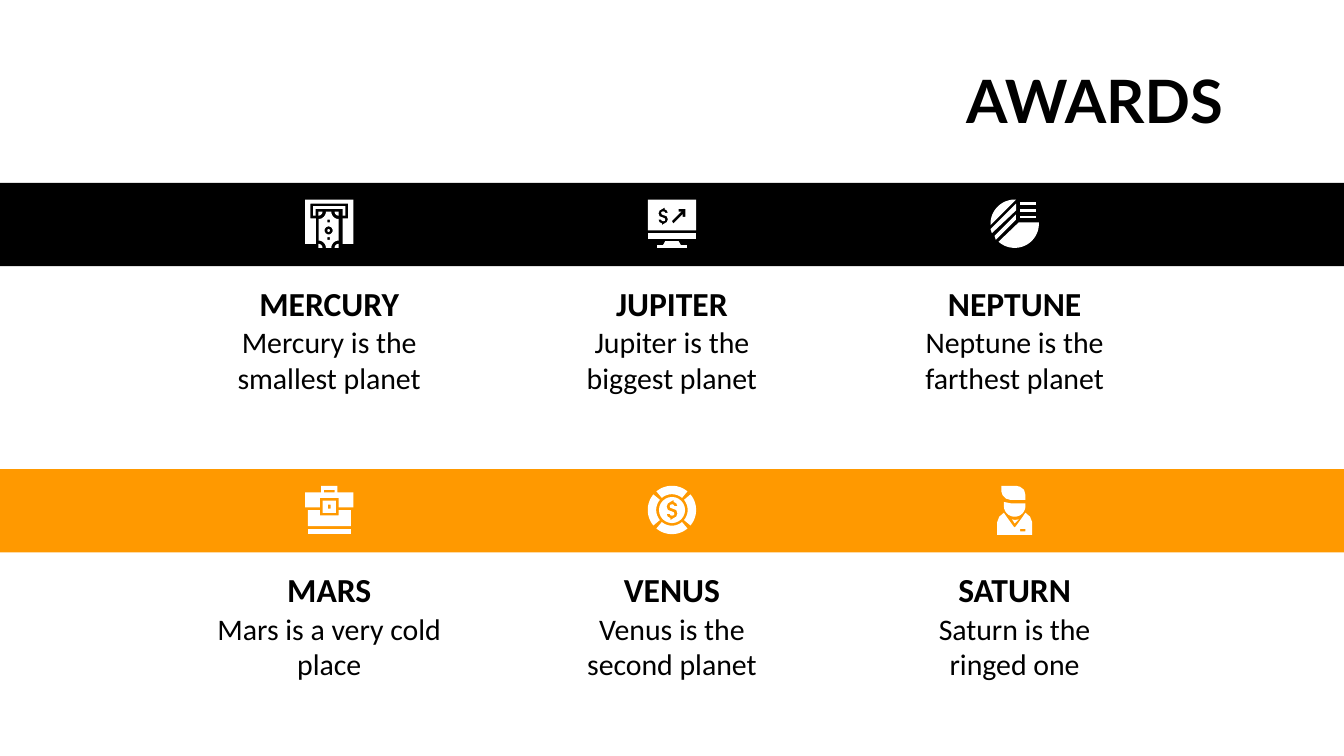
from math import cos, radians, sin

from pptx import Presentation
from pptx.dml.color import RGBColor
from pptx.enum.shapes import MSO_SHAPE
from pptx.enum.text import MSO_ANCHOR, PP_ALIGN
from pptx.util import Inches, Pt

RECT = MSO_SHAPE.RECTANGLE
TOP = MSO_ANCHOR.TOP
RIGHT, CENTER = PP_ALIGN.RIGHT, PP_ALIGN.CENTER

WIDTH = Inches(10)
HEIGHT = WIDTH * 9 // 16
UNIT = WIDTH / 100
COLORS = {"ink": "000000", "accent": "FF9900", "icon": "FFFFFF"}
TITLE = {"name": "Lato", "size": Pt(32), "bold": True}
HEAD = {"name": "Calibri", "size": Pt(18), "bold": True}
BODY = {"name": "Calibri", "size": Pt(16), "bold": False}


def block(x, y, w, h):
    """Return the corners of a rectangle."""
    return [(x, y), (x + w, y), (x + w, y + h), (x, y + h)]


def arc(x, y, r, start=0, end=360, steps=24):
    """Return points along a circle, by angle in degrees."""
    turns = [radians(start + (end - start) * i / steps) for i in range(steps + 1)]
    return [(x + r * cos(t), y + r * sin(t)) for t in turns]


def dollar(x, y, scale):
    """Return a dollar sign, its lower half being the upper half turned."""
    half = [(4.5, 0), (4.5, 1.2), (6.3, 2.2), (7, 4), (5, 4), (4.5, 3.1),
            (3.5, 2.8), (2.3, 3.2), (2, 4), (2.4, 5), (3.5, 5.5), (6.2, 6.5),
            (7, 8.7), (6.2, 10.8), (4.5, 11.8)]
    whole = half + [(7 - a, 13 - b) for a, b in half]
    return [(x + a * scale, y + b * scale) for a, b in whole]


def cash():
    """Return the parts of a cash machine."""
    ends = [(10, 9, 0), (25, 9, 90), (25, 36, 180), (10, 36, 270)]
    note = [p for x, y, a in ends for p in arc(x, y, 5.5, a + 90, a, 8)]
    return [
        [[(6, 5), (6, 12), (8, 12), (8, 7), (28, 7), (28, 12), (30, 12), (30, 5)]],
        [[(0, 0), (0, 33), (8, 33), (8, 14), (4, 14), (4, 3), (32, 3),
          (32, 14), (28, 14), (28, 33), (36, 33), (36, 0)]],
        [note, block(16.5, 15, 2, 2), arc(17.5, 23, 3), block(16.5, 28, 2, 2)],
        [arc(17.5, 23, 1)],
    ] + [[[(x, y)] + arc(x, y, 3, a, a + 90, 8)] for x, y, a in ends]


def screen():
    """Return the parts of a monitor."""
    arrow = [(28, 7), (28, 13), (26, 13), (26, 11), (19, 18), (18, 16),
             (25, 9), (23, 9), (23, 7)]
    return [
        [block(0, 0, 36, 23), arrow, dollar(8, 6, 1)],
        [block(0, 25, 36, 4)],
        [[(13, 31), (11, 34.5), (25, 34.5), (23, 31)]],
        [block(7, 34, 22, 2)],
    ]


def pie():
    """Return the parts of a striped pie chart."""
    return [
        [arc(18, 18, 18, 270, 180) + [(0, 19), (19, 0)]],
        [[(19, 3), (0, 22), (1, 25), (19, 8)]],
        [[(19, 11), (3, 27), (4, 30), (19, 15)]],
        [[(21, 17)] + arc(18, 18, 18, 132, -3)],
    ] + [[block(22, y, 12, 2)] for y in (2, 7, 12)]


def case():
    """Return the parts of a briefcase."""
    lid = [(12, 0), (12, 5), (0, 5), (0, 16), (11, 16), (11, 9), (25, 9),
           (25, 16), (36, 16), (36, 5), (24, 5), (24, 0)]
    return [
        [lid, block(14, 3, 8, 2)],
        [[(2, 18), (2, 30), (34, 30), (34, 18), (25, 18), (25, 22),
          (11, 22), (11, 18)]],
        [block(2, 32, 32, 4)],
        [block(13, 11, 10, 9), block(17, 14, 2, 3)],
    ]


def coin():
    """Return the parts of a coin in a split ring."""
    ring = [arc(18, 18, 18, a - 40, a + 40) + arc(18, 18, 11.7, a + 40, a - 40)
            for a in (0, 90, 180, 270)]
    return [[arc(18, 18, 9.7), dollar(14, 10.5, 1.15)], ring]


def person():
    """Return the parts of a person in a suit."""
    coat = [(10, 20), (6.5, 23), (5, 27), (5, 36.5), (31, 36.5), (31, 27),
            (29.5, 23), (26, 20), (24, 23), (19, 30), (18, 31), (17, 30), (12, 23)]
    return [
        [[(10, 12), (10, 15)] + arc(18, 15, 8, 180, 0) + [(26, 13), (15, 13)]],
        [[(8, 0), (8, 4), (9, 7), (11.5, 9.5), (15, 10.5), (26, 10.5),
          (26, 7), (25, 3), (22, 0.7), (19, 0)]],
        [[(16, 25), (18, 28), (21, 25), (18, 25.5)]],
        [coat, block(22, 32, 4, 2)],
    ]


ROWS = [
    (13.6, "ink", [("MERCURY", "Mercury is the smallest planet", cash),
                   ("JUPITER", "Jupiter is the biggest planet", screen),
                   ("NEPTUNE", "Neptune is the farthest planet", pie)]),
    (34.9, "accent", [("MARS", "Mars is a very cold place", case),
                      ("VENUS", "Venus is the second planet", coin),
                      ("SATURN", "Saturn is the ringed one", person)]),
]


def span(*sizes):
    """Turn grid units into slide lengths."""
    return [round(n * UNIT) for n in sizes]


def paint(shape, color):
    """Give a shape a plain fill."""
    shape.shadow.inherit = False
    shape.fill.solid()
    shape.fill.fore_color.rgb = RGBColor.from_string(COLORS[color])
    shape.line.fill.background()


def write(shape, text, style, align):
    """Fill a shape with one styled paragraph."""
    frame = shape.text_frame
    edge = Inches(0.1)
    form = {"word_wrap": True, "vertical_anchor": TOP, "margin_left": edge,
            "margin_right": edge, "margin_top": edge, "margin_bottom": edge}
    for key, value in form.items():
        setattr(frame, key, value)
    frame.text = text
    line = frame.paragraphs[0]
    line.alignment = align
    font = line.runs[0].font
    for key, value in style.items():
        setattr(font, key, value)
    font.color.rgb = RGBColor.from_string(COLORS["ink"])
    return line


def draw_title(slide, box):
    """Place the slide title in its box."""
    title = slide.shapes.title
    title.left, title.top, title.width, title.height = span(*box)
    write(title, "AWARDS", TITLE, RIGHT).line_spacing = 0.8


def draw_icon(slide, left, top, parts):
    """Draw the parts of an icon, each an outline with its holes."""
    group = slide.shapes.add_group_shape()
    for part in parts:
        loops = [[span(left + x / 10, top + y / 10) for x, y in loop] for loop in part]
        pen = group.shapes.build_freeform(*loops[0][0])
        pen.add_line_segments(loops[0][1:])
        for hole in loops[1:]:
            pen.move_to(*hole[0])
            pen.add_line_segments(hole[1:])
        paint(pen.convert_to_shape(), "icon")


def draw_row(slide, top, color, items):
    """Draw a band with three icons and their captions."""
    paint(slide.shapes.add_shape(RECT, *span(0, top, 100, 6.2)), color)
    for col, (head, body, icon) in enumerate(items):
        left = 15.15 + 25.5 * col
        for text, style, drop, high in ((head, HEAD, 6.45, 4.3), (body, BODY, 9.5, 7.5)):
            box = slide.shapes.add_textbox(*span(left, top + drop, 18.7, high))
            write(box, text, style, CENTER)
        draw_icon(slide, left + 7.55, top + 1.25, icon())


def main():
    """Build and save the slide."""
    deck = Presentation()
    deck.slide_width, deck.slide_height = WIDTH, HEIGHT
    slide = deck.slides.add_slide(deck.slide_layouts[5])
    draw_title(slide, (7.9, 4.8, 84.1, 6.3))
    for row in ROWS:
        draw_row(slide, *row)
    deck.save("out.pptx")


if __name__ == "__main__":
    main()
